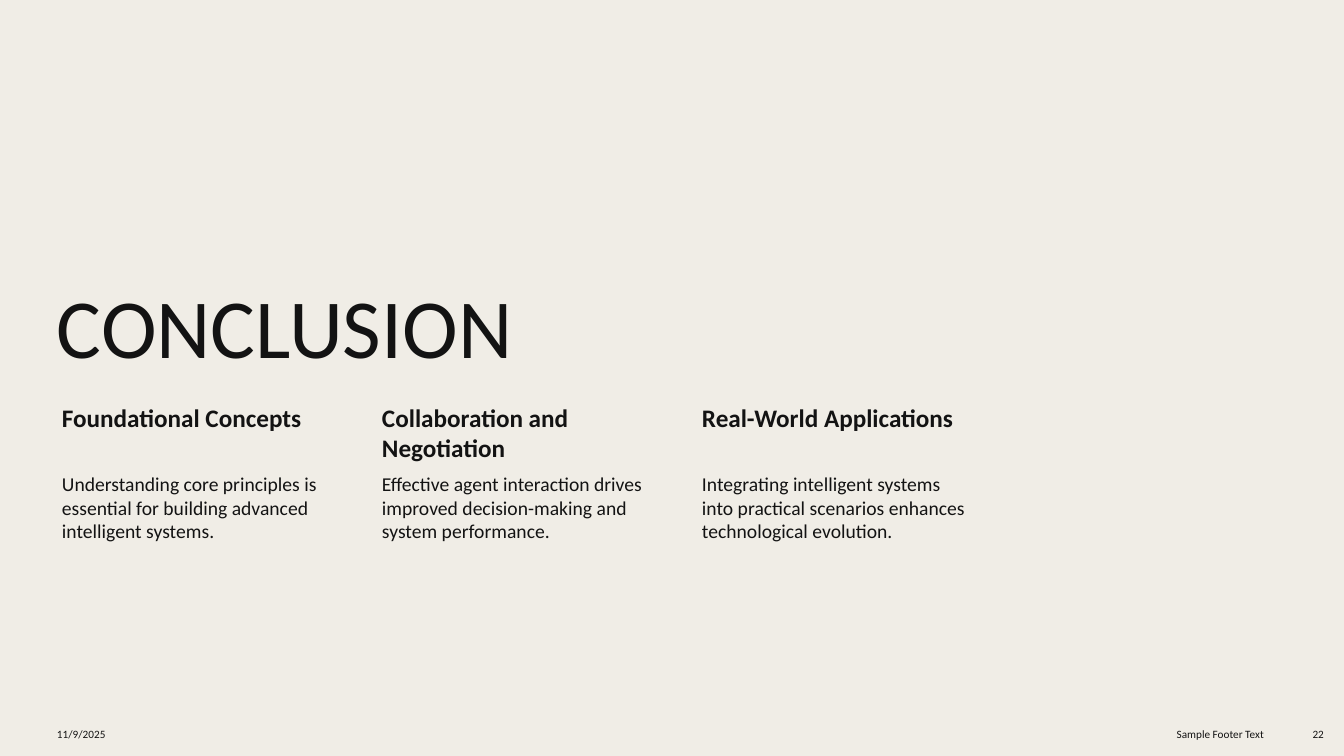
import pptx
import pptx.dml.color
import pptx.enum.text
import pptx.util

TITLE = "CONCLUSION"
TAKEAWAYS = [
    ("Foundational Concepts",
     "Understanding core principles is essential for building advanced intelligent systems."),
    ("Collaboration and Negotiation",
     "Effective agent interaction drives improved decision-making and system performance."),
    ("Real-World Applications",
     "Integrating intelligent systems into practical scenarios enhances technological evolution."),
]
DATE, FOOTER, PAGE = "11/9/2025", "Sample Footer Text", "22"

BACKGROUND, INK = "F0EDE6", "131313"
FONT = "Calibri"
EMU_PER_PX = 914400 / 100.8
LEFT = 47
COLUMN_WIDTH, COLUMN_STEP = 290, 320
HEADING_TOP, HEADING_HEIGHT = 399, 70
BODY_TOP, BODY_HEIGHT = HEADING_TOP + HEADING_HEIGHT + 1, 132
FOOTER_TOP, FOOTER_HEIGHT = 716, 37

ALIGN = pptx.enum.text.PP_ALIGN
ANCHOR = pptx.enum.text.MSO_ANCHOR


def px(length):
    return pptx.util.Emu(round(length * EMU_PER_PX))


def color(hex_string):
    return pptx.dml.color.RGBColor.from_string(hex_string)


def add_text(text, left, top, width, height, size, bold=False, align=ALIGN.LEFT,
             anchor=ANCHOR.TOP, insets=(10, 5, 10, 5), line_spacing=1.0, space_after=0):
    frame = slide.shapes.add_textbox(px(left), px(top), px(width), px(height)).text_frame
    frame.word_wrap = True
    frame.vertical_anchor = anchor
    frame.margin_left, frame.margin_top, frame.margin_right, frame.margin_bottom = map(px, insets)
    paragraph = frame.paragraphs[0]
    paragraph.alignment = align
    paragraph.line_spacing = line_spacing
    paragraph.space_after = pptx.util.Pt(space_after)
    run = paragraph.add_run()
    run.text = text
    run.font.name = FONT
    run.font.size = pptx.util.Pt(size)
    run.font.bold = bold
    run.font.color.rgb = color(INK)


deck = pptx.Presentation()
deck.slide_width, deck.slide_height = px(1344), px(756)
slide = deck.slides.add_slide(deck.slide_layouts[6])
slide.background.fill.solid()
slide.background.fill.fore_color.rgb = color(BACKGROUND)

add_text(TITLE, LEFT, 179, 929, 203, 60, anchor=ANCHOR.BOTTOM, line_spacing=0.9)

for column, (heading, body) in enumerate(TAKEAWAYS):
    column_left = LEFT + column * COLUMN_STEP
    add_text(heading, column_left, HEADING_TOP, COLUMN_WIDTH, HEADING_HEIGHT, 18,
             bold=True, insets=(15, 3, 3, 3))
    add_text(body, column_left, BODY_TOP, COLUMN_WIDTH, BODY_HEIGHT, 14, insets=(15, 2, 2, 2))

for label, left, width, align in [
    (DATE, LEFT, 313, ALIGN.LEFT),
    (FOOTER, 981, 293, ALIGN.RIGHT),
    (PAGE, 1284, 50, ALIGN.RIGHT),
]:
    add_text(label, left, FOOTER_TOP, width, FOOTER_HEIGHT, 8, align=align,
             anchor=ANCHOR.MIDDLE, space_after=6)

deck.save("out.pptx")
